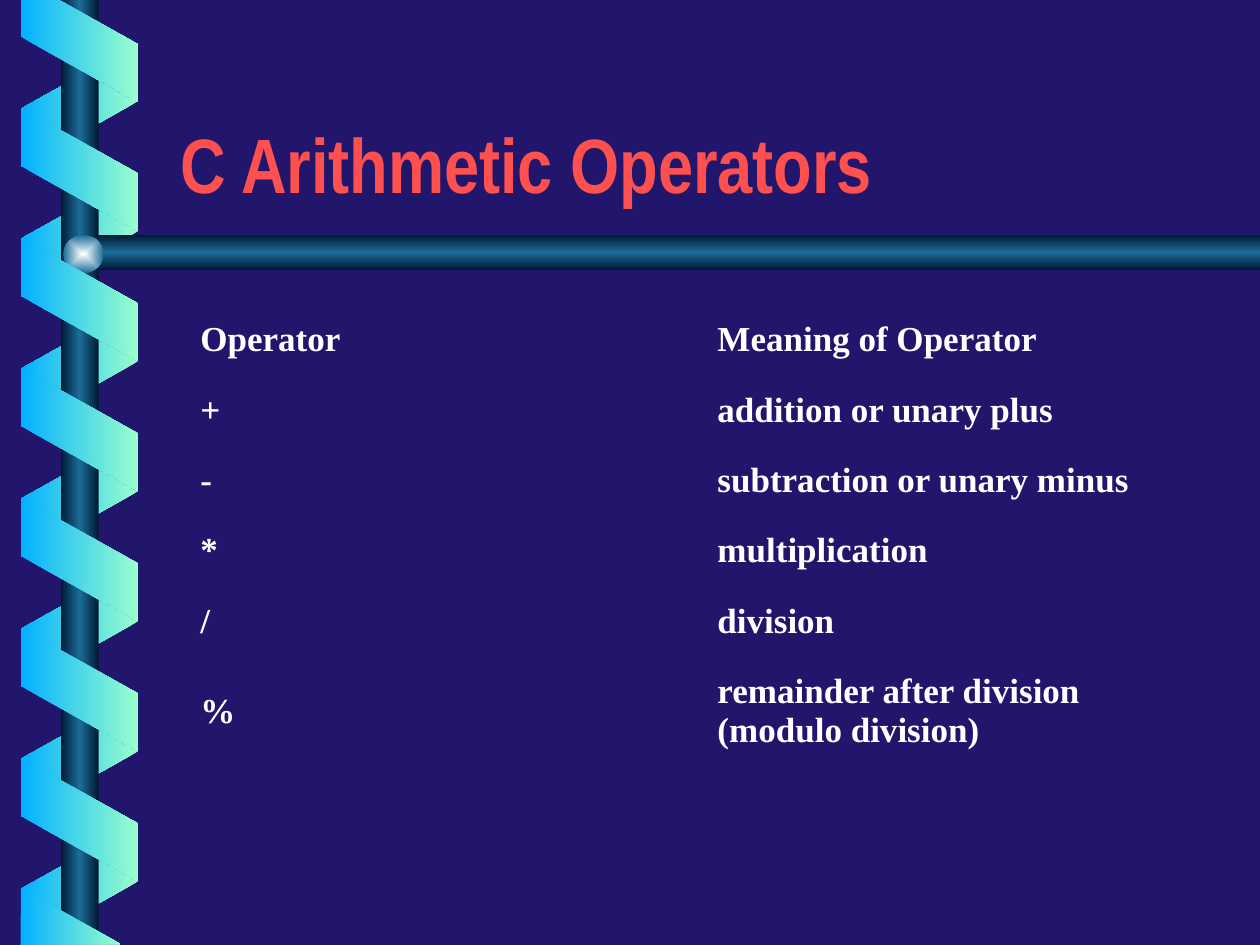
from dataclasses import dataclass

from lxml.etree import SubElement
from pptx import Presentation
from pptx.dml.color import RGBColor
from pptx.enum.shapes import MSO_SHAPE as Preset
from pptx.enum.text import MSO_ANCHOR as Anchor, MSO_AUTO_SIZE as AutoSize, PP_ALIGN as Align
from pptx.oxml.ns import qn
from pptx.util import Pt


@dataclass(frozen=True)
class Theme:
    background: str = "22166C"
    title: str = "FF5050"
    body: str = "FFFFFF"
    ribbon: tuple = ("01B0FF", "99FFCC")
    metal: tuple = ("001932", "1C6D9A", "001932")
    knob: tuple = ("FEFFFF", "1C6D9A")
    title_font: str = "Arial Narrow"
    body_font: str = "Times New Roman"
    title_size: int = 44
    body_size: int = 20


THEME = Theme()

RIBBON_STEP = 74.3
TOP_FOLD = [(12, 0), (12, 21), (78.7, 58.3), (78.7, 25.2), (33.8, 0)]
BOTTOM_FOLD = [(69, 539.5), (12, 507.6), (11.7, 540)]

OPERATORS = [
    ("Operator", "Meaning of Operator"),
    ("+", "addition or unary plus"),
    ("-", "subtraction or unary minus"),
    ("*", "multiplication"),
    ("/", "division"),
    ("%", "remainder after division (modulo division)"),
]


def paint_gradient(shape, colors, angle=0, radial=False):
    shape.shadow.inherit = False
    shape.line.fill.background()
    shape.fill.gradient()
    gradient = shape.element.spPr.find(qn("a:gradFill"))
    gradient.clear()
    gradient.set("rotWithShape", "0")
    stops = SubElement(gradient, qn("a:gsLst"))
    for index, color in enumerate(colors):
        position = 100000 * index // (len(colors) - 1)
        stop = SubElement(stops, qn("a:gs"), pos=str(position))
        SubElement(stop, qn("a:srgbClr"), val=color)
    if radial:
        direction = SubElement(gradient, qn("a:path"), {"path": "shape"})
        edges = {side: "50000" for side in "ltrb"}
        SubElement(direction, qn("a:fillToRect"), edges)
    else:
        SubElement(gradient, qn("a:lin"), ang=str(angle * 60000), scaled="1")


def add_preset(slide, preset, box, colors, angle=0, radial=False,
               adjustment=None, rotation=0, flip=False):
    shape = slide.shapes.add_shape(preset, *map(Pt, box))
    if adjustment is not None:
        shape.adjustments[0] = adjustment
    shape.rotation = rotation
    if flip:
        shape.element.spPr.xfrm.set("flipH", "1")
    paint_gradient(shape, colors, angle, radial)


def add_ribbons(slide, first_top, count, colors, rotation, flip=False):
    for index in range(count):
        box = (10.1, first_top + index * RIBBON_STEP, 70.6, 67)
        add_preset(slide, Preset.PARALLELOGRAM, box, colors,
                   adjustment=0.56, rotation=rotation, flip=flip)


def add_fold(slide, corners):
    start, *others = [(Pt(x), Pt(y)) for x, y in corners]
    builder = slide.shapes.build_freeform(*start)
    builder.add_line_segments(others, close=True)
    paint_gradient(builder.convert_to_shape(), THEME.ribbon)


def add_spiral(slide):
    add_ribbons(slide, 26.5, 7, THEME.ribbon[::-1], rotation=90, flip=True)
    add_preset(slide, Preset.RECTANGLE, (34.8, 0, 21.6, 540), THEME.metal)
    add_preset(slide, Preset.PENTAGON, (43.2, 134.2, 676.8, 20), THEME.metal,
               angle=90, adjustment=0.59, flip=True)
    add_preset(slide, Preset.OVAL, (36.2, 134.4, 23, 21.6), THEME.knob, radial=True)
    add_ribbons(slide, 63.4, 6, THEME.ribbon, rotation=270)
    add_fold(slide, TOP_FOLD)
    add_fold(slide, BOTTOM_FOLD)


def format_paragraph(paragraph, family, size, color):
    paragraph.alignment = Align.LEFT
    font = paragraph.font
    font.name, font.size, font.bold = family, Pt(size), True
    font.color.rgb = RGBColor.from_string(color)


def set_title(slide, text):
    title = slide.shapes.title
    title.left, title.top, title.width, title.height = map(Pt, (95.8, 33, 612, 90))
    frame = title.text_frame
    frame.text = text
    frame.auto_size = AutoSize.NONE
    frame.vertical_anchor = Anchor.BOTTOM
    format_paragraph(frame.paragraphs[0], THEME.title_font, THEME.title_size, THEME.title)


def clear_borders(cell):
    properties = cell._tc.get_or_add_tcPr()
    for index, side in enumerate(("lnL", "lnR", "lnT", "lnB")):
        border = SubElement(properties, qn(f"a:{side}"), w="0")
        SubElement(border, qn("a:noFill"))
        properties.insert(index, border)


def fill_cell(cell, text):
    cell.text = text
    cell.fill.background()
    clear_borders(cell)
    cell.vertical_anchor = Anchor.MIDDLE
    cell.margin_left = cell.margin_right = Pt(18)
    cell.margin_top = cell.margin_bottom = Pt(8.64)
    format_paragraph(cell.text_frame.paragraphs[0],
                     THEME.body_font, THEME.body_size, THEME.body)


def add_operator_table(slide, rows):
    box = map(Pt, (96.5, 174.2, 591, 264))
    table = slide.shapes.add_table(len(rows), len(rows[0]), *box).table
    table.first_row = table.horz_banding = False
    for index, texts in enumerate(rows):
        table.rows[index].height = Pt(62.6 if index == len(rows) - 1 else 40.2)
        for cell, text in zip(table.rows[index].cells, texts):
            fill_cell(cell, text)


def main():
    deck = Presentation()
    deck.slide_width, deck.slide_height = Pt(720), Pt(540)
    slide = deck.slides.add_slide(deck.slide_layouts[5])
    backdrop = slide.background.fill
    backdrop.solid()
    backdrop.fore_color.rgb = RGBColor.from_string(THEME.background)
    add_spiral(slide)
    set_title(slide, "C Arithmetic Operators")
    add_operator_table(slide, OPERATORS)
    deck.save("out.pptx")


if __name__ == "__main__":
    main()
